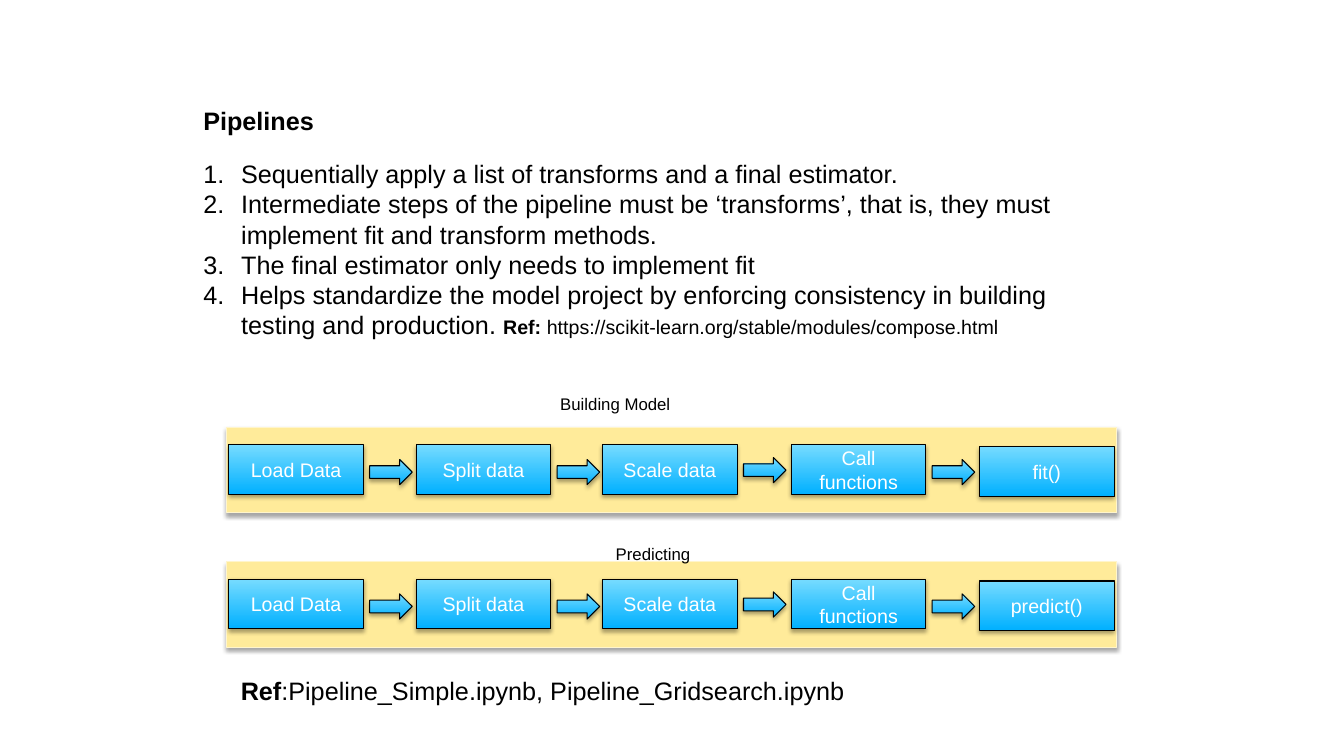
from dataclasses import dataclass

from lxml.etree import SubElement
from pptx import Presentation
from pptx.dml.color import RGBColor
from pptx.enum.shapes import MSO_SHAPE
from pptx.enum.text import MSO_ANCHOR, MSO_AUTO_SIZE, PP_ALIGN
from pptx.oxml.ns import qn
from pptx.shapes.autoshape import Shape
from pptx.shapes.shapetree import GroupShapes, SlideShapes
from pptx.slide import Slide
from pptx.text.text import TextFrame, _Paragraph
from pptx.util import Pt

BLACK, WHITE = "000000", "FFFFFF"
PANEL_FILL, PANEL_LINE = "FFEB9A", "FFF5CC"
STEP_GRADIENT = ("00B0FF", "76DBFF")
BODY_SIZE, STEP_SIZE, CAPTION_SIZE = 18, 14, 12
LIST_INDENT = 27
PANEL_LEFT, PANEL_WIDTH, PANEL_HEIGHT = 162, 635.8, 61.2
STEP_WIDTH, STEP_HEIGHT = 96, 35.4
ARROW_WIDTH, ARROW_HEIGHT = 30.4, 18


@dataclass(frozen=True)
class Span:
    text: str
    size: float = BODY_SIZE
    bold: bool = False
    color: str = BLACK


@dataclass(frozen=True)
class Slot:
    """Place of a step in its panel, with the arrow that follows it."""
    left: float
    top: float = 12.6
    arrow_top: float | None = 23


@dataclass(frozen=True)
class Pipeline:
    caption: str
    caption_left: float
    caption_top: float
    panel_top: float
    last_step: str


SLOTS = (Slot(163.5), Slot(297.4), Slot(430.5), Slot(565.3, arrow_top=None),
         Slot(699.8, top=13.8, arrow_top=None))
SLOTS = (SLOTS[0], SLOTS[1], Slot(430.5, arrow_top=21.6), Slot(565.3), SLOTS[4])
SHARED_STEPS = ("Load Data", "Split data", "Scale data", "Call functions")
PIPELINES = (
    Pipeline("Building Model", 393.1, 277.9, 305.2, "fit()"),
    Pipeline("Predicting", 432.7, 384.5, 401.2, "predict()"),
)
RULES = (
    (Span("Sequentially apply a list of transforms and a final estimator."),),
    (Span("Intermediate steps of the pipeline must be ‘transforms’, that is, "
          "they must implement fit and transform methods."),),
    (Span("The final estimator only needs to implement fit"),),
    (Span("Helps standardize the model project by enforcing consistency in "
          "building testing and production. "),
     Span("Ref: ", 14, True),
     Span("https://scikit-learn.org/stable/modules/compose.html", 14)),
)


def rgb(color: str) -> RGBColor:
    return RGBColor.from_string(color)


def add_spans(paragraph: _Paragraph, *spans: Span) -> None:
    for span in spans:
        run = paragraph.add_run()
        run.text = span.text
        font_format = {"name": "Arial", "size": Pt(span.size), "bold": span.bold}
        for attribute, value in font_format.items():
            setattr(run.font, attribute, value)
        run.font.color.rgb = rgb(span.color)


def add_text(slide: Slide, left: float, top: float, width: float,
             height: float, *spans: Span) -> TextFrame:
    frame = slide.shapes.add_textbox(
        Pt(left), Pt(top), Pt(width), Pt(height)).text_frame
    frame.word_wrap = True
    frame.auto_size = MSO_AUTO_SIZE.SHAPE_TO_FIT_TEXT
    add_spans(frame.paragraphs[0], *spans)
    return frame


def number(paragraph: _Paragraph) -> None:
    """Give the paragraph an automatic number and a hanging indent."""
    properties = paragraph._p.get_or_add_pPr()
    properties.set("marL", str(Pt(LIST_INDENT)))
    properties.set("indent", str(-Pt(LIST_INDENT)))
    bullet_color = SubElement(properties, qn("a:buClr"))
    SubElement(bullet_color, qn("a:srgbClr"), val=BLACK)
    SubElement(properties, qn("a:buFont"), typeface="+mj-lt")
    SubElement(properties, qn("a:buAutoNum"), type="arabicPeriod")


def add_shadow(shape: Shape) -> None:
    shape.shadow.inherit = False
    effects = shape._element.spPr.find(qn("a:effectLst"))
    shadow = SubElement(effects, qn("a:outerShdw"), blurRad=str(Pt(3.1)),
                        dist=str(Pt(1.8)), dir="5400000", rotWithShape="0")
    shadow_color = SubElement(shadow, qn("a:srgbClr"), val=BLACK)
    SubElement(shadow_color, qn("a:alpha"), val="35000")


def add_block(shapes: GroupShapes | SlideShapes, kind: MSO_SHAPE, left: float,
              top: float, width: float, height: float, line: str) -> Shape:
    block = shapes.add_shape(kind, Pt(left), Pt(top), Pt(width), Pt(height))
    block.line.color.rgb = rgb(line)
    block.line.width = Pt(0.75)
    add_shadow(block)
    return block


def fill_gradient(shape: Shape) -> None:
    shape.fill.gradient()
    shape.fill.gradient_angle = 90
    for stop, color, position in zip(shape.fill.gradient_stops, STEP_GRADIENT, (0, 1)):
        stop.color.rgb = rgb(color)
        stop.position = position


def add_pipeline(slide: Slide, pipeline: Pipeline) -> None:
    shapes = slide.shapes.add_group_shape().shapes
    top = pipeline.panel_top
    panel = add_block(shapes, MSO_SHAPE.RECTANGLE, PANEL_LEFT, top,
                      PANEL_WIDTH, PANEL_HEIGHT, PANEL_LINE)
    panel.fill.solid()
    panel.fill.fore_color.rgb = rgb(PANEL_FILL)
    for slot, label in zip(SLOTS, (*SHARED_STEPS, pipeline.last_step)):
        step = add_block(shapes, MSO_SHAPE.RECTANGLE, slot.left, top + slot.top,
                         STEP_WIDTH, STEP_HEIGHT, BLACK)
        fill_gradient(step)
        step.text_frame.vertical_anchor = MSO_ANCHOR.MIDDLE
        paragraph = step.text_frame.paragraphs[0]
        paragraph.alignment = PP_ALIGN.CENTER
        add_spans(paragraph, Span(label, STEP_SIZE, color=WHITE))
        if slot.arrow_top is not None:
            arrow = add_block(shapes, MSO_SHAPE.RIGHT_ARROW, slot.left + 100.6,
                              top + slot.arrow_top, ARROW_WIDTH, ARROW_HEIGHT, BLACK)
            fill_gradient(arrow)


def main() -> None:
    presentation = Presentation()
    presentation.slide_width, presentation.slide_height = Pt(960), Pt(540)
    slide = presentation.slides.add_slide(presentation.slide_layouts[6])

    overview = add_text(slide, 138.2, 72, 660.2, 177.1, Span("Pipelines", bold=True))
    overview.paragraphs[0].space_after = Pt(16)
    for rule in RULES:
        paragraph = overview.add_paragraph()
        number(paragraph)
        add_spans(paragraph, *rule)

    add_text(slide, 164.9, 478.8, 606.2, 29, Span("Ref", bold=True),
             Span(":Pipeline_Simple.ipynb, Pipeline_Gridsearch.ipynb"))
    for pipeline in PIPELINES:
        add_pipeline(slide, pipeline)
        add_text(slide, pipeline.caption_left, pipeline.caption_top, 98.6, 21.8,
                 Span(pipeline.caption, CAPTION_SIZE))
    presentation.save("out.pptx")


if __name__ == "__main__":
    main()
